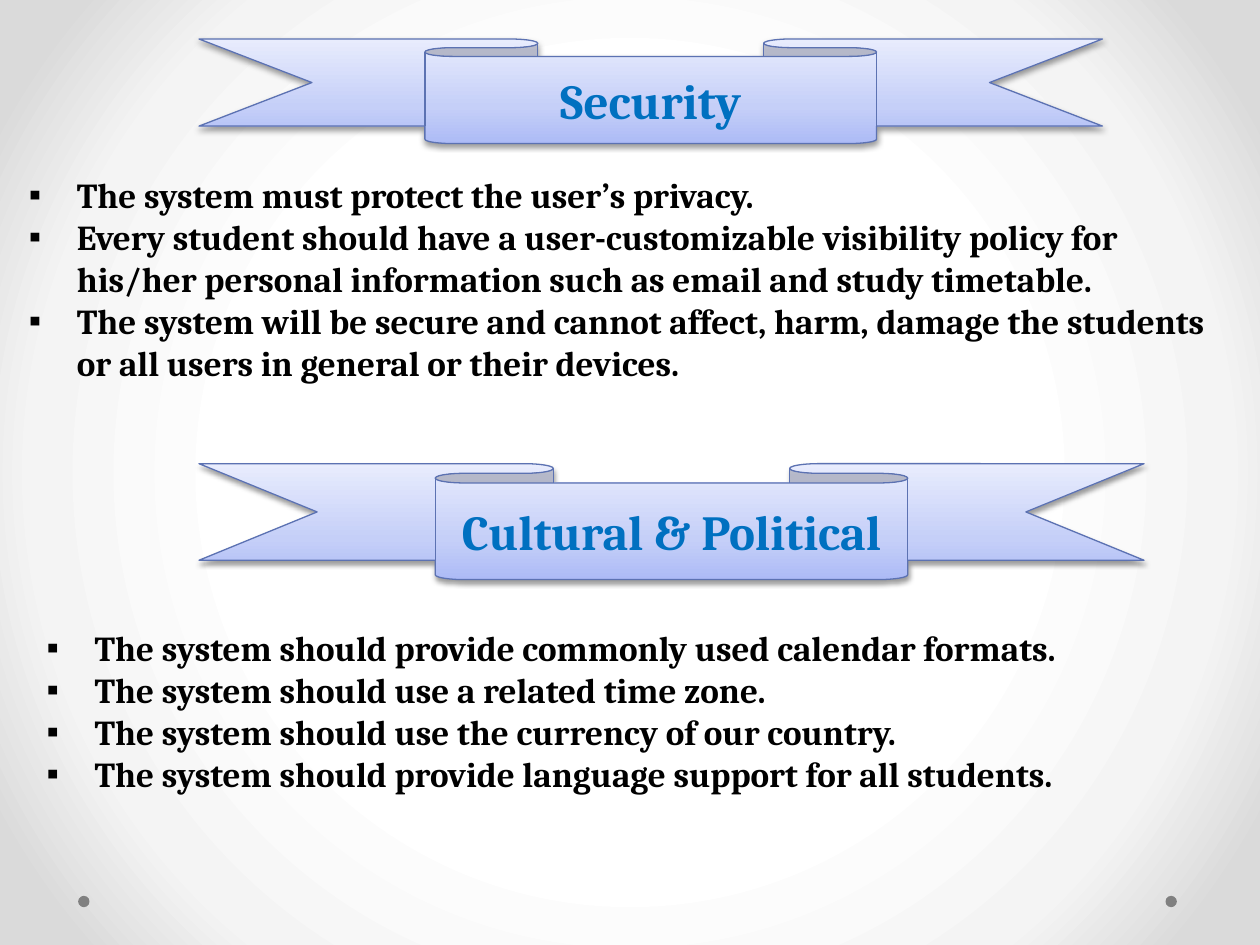
import dataclasses

import pptx
import pptx.dml.color
import pptx.enum.shapes
import pptx.enum.text
import pptx.oxml
import pptx.oxml.ns
import pptx.util

Inches = pptx.util.Inches
Pt = pptx.util.Pt
MSO_SHAPE = pptx.enum.shapes.MSO_SHAPE


@dataclasses.dataclass(frozen=True)
class Theme:
    font: str = "Cambria"
    heading_size: int = 28
    body_size: int = 20
    heading: str = "0070C0"
    body: str = "000000"
    dot: str = "808080"
    ribbon_line: str = "5C72B2"
    ribbon_stops: tuple = ((0, "ADBBF6"), (35, "C5CFF8"), (100, "E8ECFD"))
    background_stops: tuple = ((50, "FFFFFF"), (76, "F4F4F4"), (92, "DADADA"))


THEME = Theme()
WIDTH, HEIGHT = 10, 7.5
RIBBON_LEFT = 1.58
DOT_SIZE = 0.09
DOT_TOP = 7.11
BULLET_INDENT = 0.38

LINEAR_UPWARD = '<a:lin ang="16200000" scaled="0"/>'
CENTRED_CIRCLE = (
    '<a:path path="circle">'
    '<a:fillToRect l="50000" t="50000" r="50000" b="50000"/></a:path>'
)

SECURITY = (
    "The system must protect the user’s privacy.",
    "Every student should have a user-customizable visibility policy for "
    "his/her personal information such as email and study timetable.",
    "The system will be secure and cannot affect, harm, damage the students "
    "or all users in general or their devices.",
)
CULTURAL = (
    "The system should provide commonly used calendar formats.",
    "The system should use a related time zone.",
    "The system should use the currency of our country.",
    "The system should provide language support for all students.",
)


def color(value):
    return pptx.dml.color.RGBColor.from_string(value)


def drawing_element(tag, content="", attributes=""):
    namespace = pptx.oxml.ns.nsdecls("a")
    return pptx.oxml.parse_xml(
        f"<a:{tag} {namespace} {attributes}>{content}</a:{tag}>"
    )


def apply_gradient(fill, properties, stops, direction):
    """Swap the solid fill inside the properties element for a gradient."""
    fill.solid()
    stop_list = "".join(
        f'<a:gs pos="{share * 1000}"><a:srgbClr val="{value}"/></a:gs>'
        for share, value in stops
    )
    gradient = drawing_element(
        "gradFill", f"<a:gsLst>{stop_list}</a:gsLst>{direction}", 'rotWithShape="1"'
    )
    solid = properties.find(pptx.oxml.ns.qn("a:solidFill"))
    properties.replace(solid, gradient)


def paint_background(slide):
    fill = slide.background.fill
    fill.solid()
    properties = slide.element.find(".//" + pptx.oxml.ns.qn("p:bgPr"))
    apply_gradient(fill, properties, THEME.background_stops, CENTRED_CIRCLE)


def add_soft_shadow(shape):
    shape.shadow.inherit = False
    effects = shape.element.spPr.find(pptx.oxml.ns.qn("a:effectLst"))
    effects.append(drawing_element(
        "outerShdw",
        '<a:srgbClr val="000000"><a:alpha val="38000"/></a:srgbClr>',
        f'blurRad="{Pt(3.1)}" dist="{Pt(1.6)}" dir="5400000" rotWithShape="0"',
    ))


def style_font(paragraph, size, value):
    font = paragraph.font
    font.name = THEME.font
    font.size = Pt(size)
    font.bold = True
    font.color.rgb = color(value)


def add_ribbon(slide, text, top, width, height):
    ribbon = slide.shapes.add_shape(
        MSO_SHAPE.DOWN_RIBBON,
        Inches(RIBBON_LEFT), Inches(top), Inches(width), Inches(height),
    )
    apply_gradient(
        ribbon.fill, ribbon.element.spPr, THEME.ribbon_stops, LINEAR_UPWARD
    )
    ribbon.line.color.rgb = color(THEME.ribbon_line)
    ribbon.line.width = Pt(0.75)
    add_soft_shadow(ribbon)
    ribbon.text_frame.vertical_anchor = pptx.enum.text.MSO_ANCHOR.MIDDLE
    paragraph = ribbon.text_frame.paragraphs[0]
    paragraph.text = text
    paragraph.alignment = pptx.enum.text.PP_ALIGN.CENTER
    style_font(paragraph, THEME.heading_size, THEME.heading)


def fill_list(placeholder, items, left, top, width, height):
    placeholder.left, placeholder.top = Inches(left), Inches(top)
    placeholder.width, placeholder.height = Inches(width), Inches(height)
    frame = placeholder.text_frame
    frame.text = "\n".join(items)
    frame.word_wrap = True
    frame.auto_size = pptx.enum.text.MSO_AUTO_SIZE.SHAPE_TO_FIT_TEXT
    for paragraph in frame.paragraphs:
        properties = paragraph._p.get_or_add_pPr()
        properties.set("marL", str(Inches(BULLET_INDENT)))
        properties.set("indent", str(-Inches(BULLET_INDENT)))
        properties.append(drawing_element("buChar", attributes='char="▪"'))
        paragraph.space_before = Pt(0)
        style_font(paragraph, THEME.body_size, THEME.body)


def add_dot(slide, left):
    dot = slide.shapes.add_shape(
        MSO_SHAPE.OVAL,
        Inches(left), Inches(DOT_TOP), Inches(DOT_SIZE), Inches(DOT_SIZE),
    )
    dot.shadow.inherit = False
    dot.fill.solid()
    dot.fill.fore_color.rgb = color(THEME.dot)
    dot.line.fill.background()


def main():
    presentation = pptx.Presentation()
    presentation.slide_width = Inches(WIDTH)
    presentation.slide_height = Inches(HEIGHT)
    two_content = presentation.slide_layouts.get_by_name("Two Content")
    slide = presentation.slides.add_slide(two_content)
    title, security_list, cultural_list = slide.placeholders
    title.element.getparent().remove(title.element)

    paint_background(slide)
    for left in (9.25, 0.62):
        add_dot(slide, left)
    add_ribbon(slide, "Security", 0.31, 7.17, 0.83)
    fill_list(security_list, SECURITY, 0.13, 1.33, 9.83, 1.78)
    add_ribbon(slide, "Cultural & Political", 3.68, 7.5, 0.92)
    fill_list(cultural_list, CULTURAL, 0.27, 4.92, 9.54, 1.45)

    presentation.save("out.pptx")


if __name__ == "__main__":
    main()
